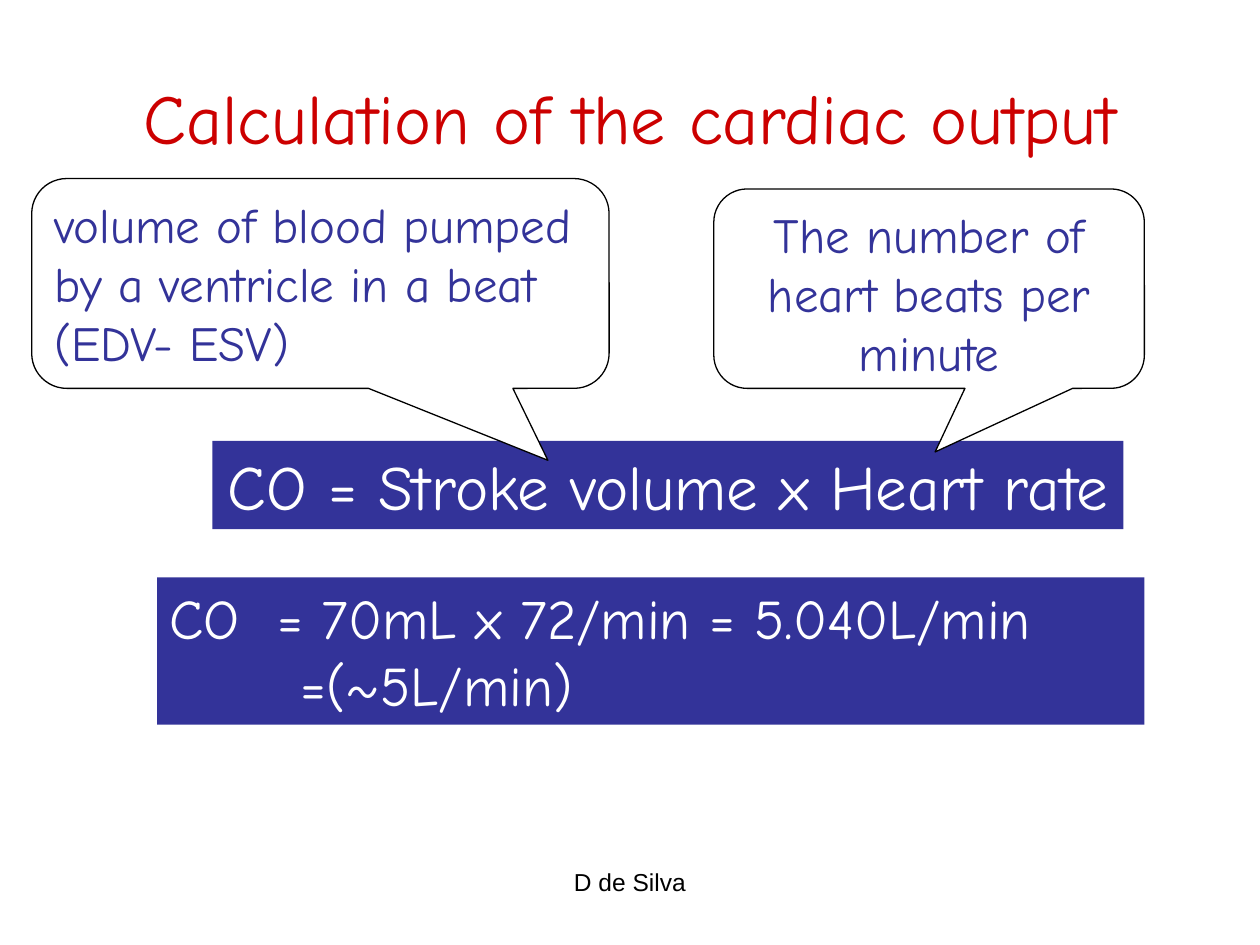
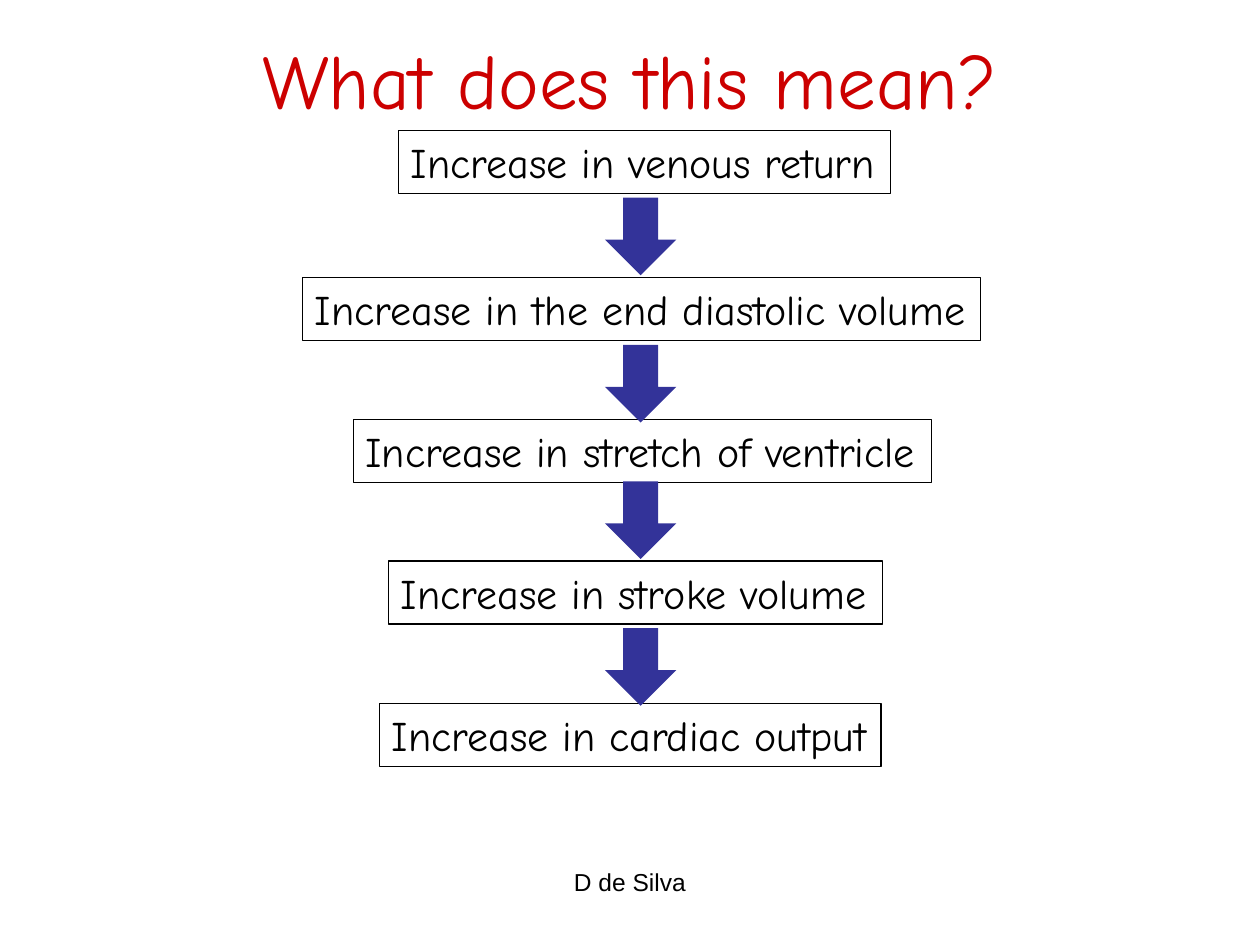
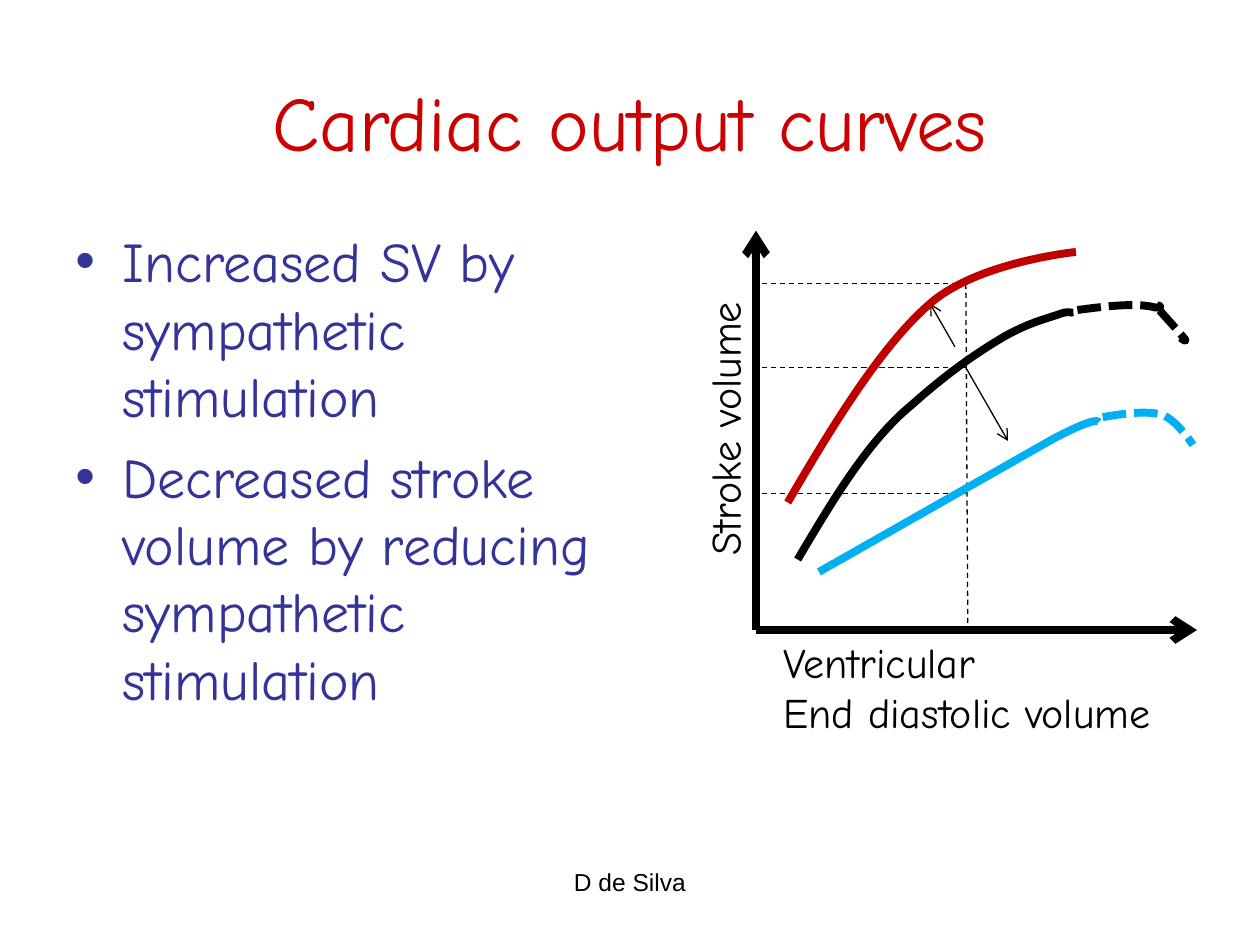
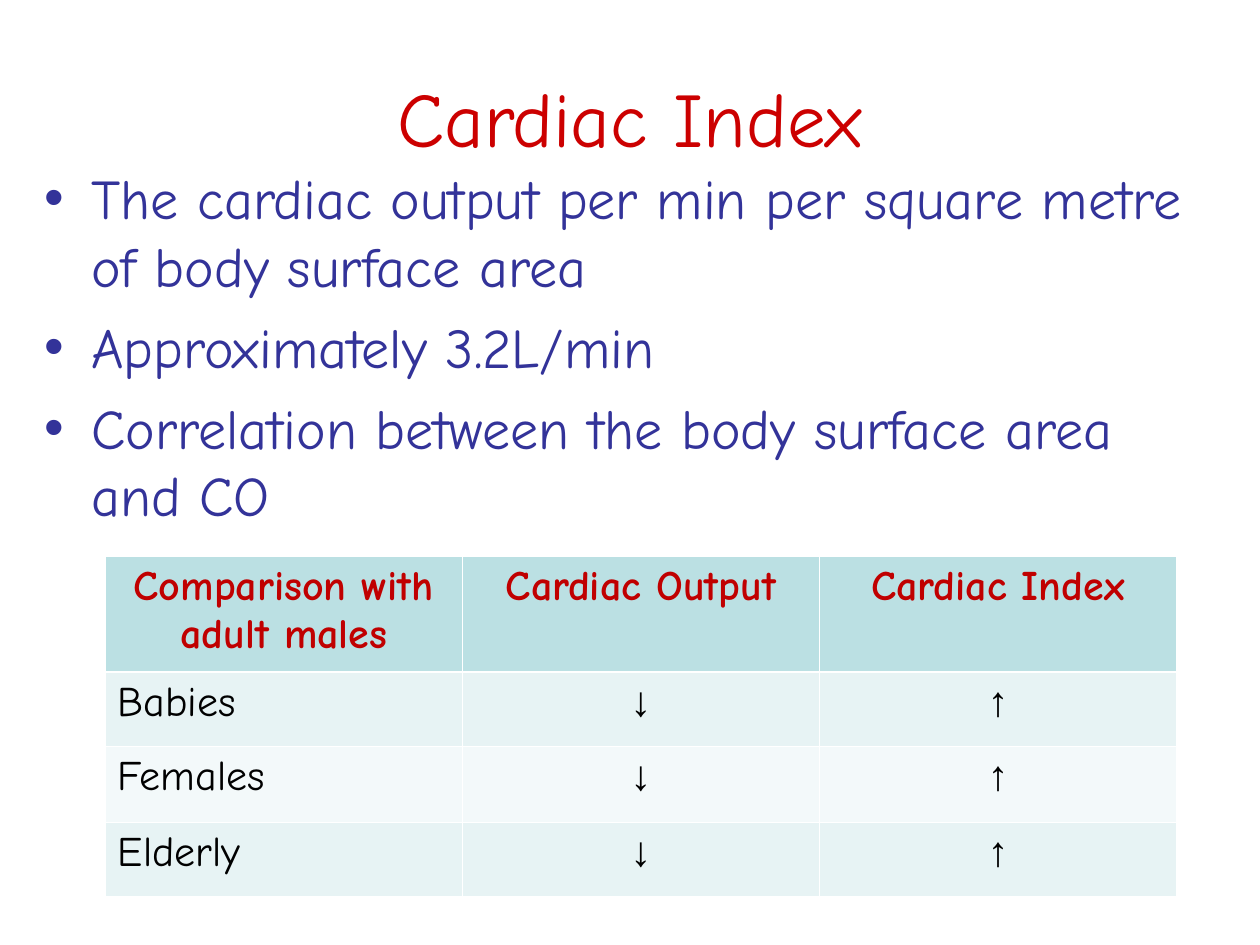
from lxml import etree
from pptx import Presentation
from pptx.dml.color import RGBColor
from pptx.enum.dml import MSO_LINE
from pptx.enum.shapes import MSO_CONNECTOR, MSO_SHAPE
from pptx.enum.text import MSO_ANCHOR, MSO_AUTO_SIZE, PP_ALIGN
from pptx.oxml.ns import qn
from pptx.util import Cm, Pt

RED = RGBColor(0xCC, 0x00, 0x00)
DARK_RED = RGBColor(0xC0, 0x00, 0x00)
NAVY = RGBColor(0x33, 0x33, 0x99)
SKY = RGBColor(0x00, 0xB0, 0xF0)
BLACK = RGBColor(0x00, 0x00, 0x00)
WHITE = RGBColor(0xFF, 0xFF, 0xFF)
HEADER_TEAL = RGBColor(0xBB, 0xE0, 0xE3)
BAND_TEAL = RGBColor(0xE7, 0xF3, 0xF4)
PALE_TEAL = RGBColor(0xF3, 0xF9, 0xFA)

LEFT, CENTER = PP_ALIGN.LEFT, PP_ALIGN.CENTER
TOP, MIDDLE = MSO_ANCHOR.TOP, MSO_ANCHOR.MIDDLE
FIT, FIXED = MSO_AUTO_SIZE.SHAPE_TO_FIT_TEXT, MSO_AUTO_SIZE.NONE
RECTANGLE = MSO_SHAPE.RECTANGLE
CALLOUT = MSO_SHAPE.ROUNDED_RECTANGULAR_CALLOUT
DOWN_ARROW = MSO_SHAPE.DOWN_ARROW
STRAIGHT = MSO_CONNECTOR.STRAIGHT
DASH, SHORT_DASH = MSO_LINE.DASH, MSO_LINE.SQUARE_DOT
HAND, PLAIN = "Comic Neue", "Arial"


def write(frame, lines, size, color, align=LEFT, name=HAND, bold=False, bullet=False):
    for index, line in enumerate(lines):
        para = frame.paragraphs[0] if index == 0 else frame.add_paragraph()
        para.alignment = align
        if bullet:
            properties = para._p.get_or_add_pPr()
            properties.set("marL", str(Cm(0.95)))
            properties.set("indent", str(-Cm(0.95)))
            bullet_color = etree.SubElement(properties, qn("a:buClr"))
            etree.SubElement(bullet_color, qn("a:srgbClr"), val=str(color))
            etree.SubElement(properties, qn("a:buFont"), typeface=PLAIN)
            etree.SubElement(properties, qn("a:buChar"), char="•")
            if index:
                para.space_before = Pt(8)
        span = para.add_run()
        span.text = line
        for key, value in {"size": Pt(size), "name": name, "bold": bold}.items():
            setattr(span.font, key, value)
        span.font.color.rgb = color


def add_box(page, kind, place, lines, size, color, fill=None, outline=None,
            wrap=True, fit=FIXED, anchor=TOP, **text_format):
    lengths = [Cm(length) for length in place]
    if kind is None:
        box = page.shapes.add_textbox(*lengths)
    else:
        box = page.shapes.add_shape(kind, *lengths)
        box.shadow.inherit = False
        if fill is None:
            box.fill.background()
        else:
            box.fill.solid()
            box.fill.fore_color.rgb = fill
        if outline is None:
            box.line.fill.background()
        else:
            box.line.color.rgb = outline
            box.line.width = Pt(0.75)
    for key, value in {"word_wrap": wrap, "auto_size": fit, "vertical_anchor": anchor}.items():
        setattr(box.text_frame, key, value)
    write(box.text_frame, lines, size, color, **text_format)
    return box


deck = Presentation()
deck.slide_width, deck.slide_height = Cm(25.4), Cm(19.05)

pages = []
for title, top, size, has_footer in [
    ("Calculation of the cardiac output", 0.76, 40, True),
    ("What does this mean?", 0, 44, True),
    ("Cardiac output curves", 0.84, 44, True),
    ("Cardiac Index", 0.76, 44, False),
]:
    page = deck.slides.add_slide(deck.slide_layouts[6])
    add_box(page, None, (1.27, top, 22.86, 3.18), [title], size, RED,
            anchor=MIDDLE, align=CENTER)
    if has_footer:
        add_box(page, None, (8.68, 17.35, 8.04, 1.32), ["D de Silva"], 14, BLACK,
                align=CENTER, name=PLAIN)
    pages.append(page)
formula_page, chain_page, curves_page, index_page = pages

add_box(formula_page, RECTANGLE, (4.28, 8.89, 18.37, 1.78),
        ["CO = Stroke volume x Heart rate"], 36, WHITE,
        fill=NAVY, wrap=False, fit=FIT, align=CENTER)
example = add_box(formula_page, RECTANGLE, (3.17, 11.64, 19.9, 2.97),
                  ["CO\t= 70mL x 72/min = 5.040L/min", "=(~5L/min)"], 32, WHITE,
                  fill=NAVY, fit=FIT)
first, second = [para._p.get_or_add_pPr() for para in example.text_frame.paragraphs]
tabs = etree.SubElement(first, qn("a:tabLst"))
etree.SubElement(tabs, qn("a:tab"), pos=str(Cm(2.17)), algn="l")
second.set("marL", str(Cm(2.64)))

for place, text, pointer, align in [
    ((14.39, 3.81, 8.68, 4.02), "The number of heart beats per minute", (0.014, 0.819), CENTER),
    ((0.64, 3.6, 11.64, 4.23), "volume of blood pumped by a ventricle in a beat (EDV- ESV)",
     (0.394, 0.843), LEFT),
]:
    callout = add_box(formula_page, CALLOUT, place, [text], 28, NAVY,
                      fill=WHITE, outline=BLACK, align=align)
    for index, value in enumerate((*pointer, 0.167)):
        callout.adjustments[index] = value

for left, top, width, text in [
    (8.03, 2.63, 9.92, "Increase in venous return"),
    (6.1, 5.59, 13.67, "Increase in the end diastolic volume"),
    (7.12, 8.46, 11.66, "Increase in stretch of ventricle"),
    (7.83, 11.31, 9.96, "Increase in stroke volume"),
    (7.65, 14.18, 10.11, "Increase in cardiac output"),
]:
    add_box(chain_page, RECTANGLE, (left, top, width, 1.27), [text], 24, BLACK,
            outline=BLACK, wrap=False, fit=FIT)
for top in (4.02, 6.99, 9.74, 12.7):
    arrow = chain_page.shapes.add_shape(DOWN_ARROW, Cm(12.28), Cm(top), Cm(1.27), Cm(1.48))
    arrow.shadow.inherit = False
    arrow.fill.solid()
    arrow.fill.fore_color.rgb = NAVY
    arrow.line.color.rgb = NAVY
    arrow.line.width = Pt(2)
    etree.SubElement(arrow._element.spPr.find(qn("a:ln")), qn("a:miter"), lim="800000")

add_box(curves_page, None, (1.27, 4.45, 12.27, 12.57),
        ["Increased SV by sympathetic stimulation",
         "Decreased stroke volume by reducing sympathetic stimulation"],
        32, NAVY, bullet=True)

lines = [
    ((15.24, 5.31, 15.24, 12.7), 4.5, None, False),
    ((15.24, 5.31, 15.24, 4.65), 4.5, None, True),
    ((15.24, 12.7, 24.13, 12.7), 4.5, None, True),
    ((19.25, 6.99, 18.75, 6.12), 0.75, None, True),
    ((19.47, 7.41, 20.32, 8.89), 0.75, None, True),
    ((19.47, 5.72, 19.51, 12.7), 0.75, DASH, False),
]
lines += [((19.47, level, 15.24, level), 0.75, DASH, False) for level in (7.41, 5.72, 9.95)]
for ends, width, dash, has_head in lines:
    connector = curves_page.shapes.add_connector(STRAIGHT, *[Cm(length) for length in ends])
    connector.line.color.rgb = BLACK
    connector.line.width = Pt(width)
    if dash:
        connector.line.dash_style = dash
    properties = connector._element.spPr
    if has_head:
        etree.SubElement(properties.find(qn("a:ln")), qn("a:tailEnd"), type="arrow")
    etree.SubElement(properties, qn("a:effectLst"))

curves = [
    (BLACK, None, (16.08, 11.28), [
        [(16.79, 10.08), (17.5, 8.89), (18.36, 8.18)],
        [(19.1, 7.52), (19.63, 7.16), (20.12, 6.86)],
        [(20.62, 6.55), (21.06, 6.43), (21.31, 6.35)],
        [(21.56, 6.25), (21.59, 6.32), (21.64, 6.3)]]),
    (BLACK, SHORT_DASH, (21.72, 6.25), [
        [(22.33, 6.17), (22.91, 6.1), (23.29, 6.2)],
        [(23.55, 6.2), (23.22, 6.1), (23.32, 6.2)],
        [(23.42, 6.3), (23.8, 6.73), (23.88, 6.83)],
        [(23.95, 6.93), (23.8, 6.81), (23.8, 6.81)]]),
    (SKY, None, (16.51, 11.53), [
        [(21.21, 8.86)],
        [(22.15, 8.36), (22.15, 8.51), (22.15, 8.51)]]),
    (SKY, SHORT_DASH, (22.23, 8.41), [
        [(22.68, 8.33), (23.11, 8.28), (23.42, 8.36)],
        [(23.72, 8.46), (24.05, 8.97), (24.05, 8.97)]]),
    (DARK_RED, None, (15.88, 10.13), [
        [(16.81, 8.53), (17.78, 6.96), (18.75, 6.12)],
        [(19.71, 5.28), (21.69, 5.08), (21.69, 5.08)]]),
]
for color, dash, start, segments in curves:
    builder = curves_page.shapes.build_freeform(*[Cm(length) for length in start])
    builder.add_line_segments([(Cm(x), Cm(y)) for segment in segments for x, y in segment],
                              close=False)
    curve = builder.convert_to_shape()
    steps = iter(list(curve._element.iter(qn("a:lnTo"))))
    for segment in segments:
        segment_steps = [next(steps) for point in segment]
        if len(segment) == 3:
            bend = segment_steps[0]
            bezier = etree.Element(qn("a:cubicBezTo"))
            bend.addprevious(bezier)
            for step in segment_steps:
                bezier.append(step[0])
                step.getparent().remove(step)
    curve.shadow.inherit = False
    curve.fill.background()
    curve.line.color.rgb = color
    curve.line.width = Pt(4.5)
    if dash:
        curve.line.dash_style = dash

for place, labels, rotation in [
    ((15.54, 12.7, 7.95, 2.29), ["Ventricular", "End diastolic volume"], 0),
    ((11.77, 7.98, 5.66, 1.27), ["Stroke volume"], 270),
]:
    axis_label = add_box(curves_page, None, place, labels, 24, BLACK, wrap=False, fit=FIT)
    axis_label.rotation = rotation

add_box(index_page, None, (0.64, 3.18, 24.13, 7.82),
        ["The cardiac output per min per square metre of body surface area",
         "Approximately 3.2L/min",
         "Correlation between the body surface area and CO"],
        32, NAVY, bullet=True)

rows = [("Comparison with adult males", "Cardiac Output", "Cardiac Index")]
rows += [(group, "↓", "↑") for group in ("Babies", "Females", "Elderly")]
row_fills = [HEADER_TEAL, BAND_TEAL, PALE_TEAL, BAND_TEAL]
table = index_page.shapes.add_table(4, 3, Cm(2.12), Cm(11.22), Cm(21.6), Cm(6.85)).table
table.first_row = table.horz_banding = False
for column in table.columns:
    column.width = Cm(7.2)
for row, height in zip(table.rows, (2.33, 1.5, 1.52, 1.5)):
    row.height = Cm(height)
for row_index, texts in enumerate(rows):
    is_header = row_index == 0
    for column_index, text in enumerate(texts):
        cell = table.cell(row_index, column_index)
        is_label = column_index == 0
        write(cell.text_frame, [text], 24, DARK_RED if is_header else BLACK,
              align=CENTER if is_header or not is_label else LEFT,
              name=HAND if is_header or is_label else PLAIN, bold=is_header)
        for side in "LRTB":
            is_thick = (row_index, side) in [(0, "B"), (1, "T")]
            border = etree.SubElement(cell._tc.get_or_add_tcPr(), qn("a:ln" + side),
                                      w=str(Pt(1.47 if is_thick else 0.45)))
            border_fill = etree.SubElement(border, qn("a:solidFill"))
            etree.SubElement(border_fill, qn("a:srgbClr"), val=str(WHITE))
        cell.fill.solid()
        cell.fill.fore_color.rgb = row_fills[row_index]

deck.save("out.pptx")
